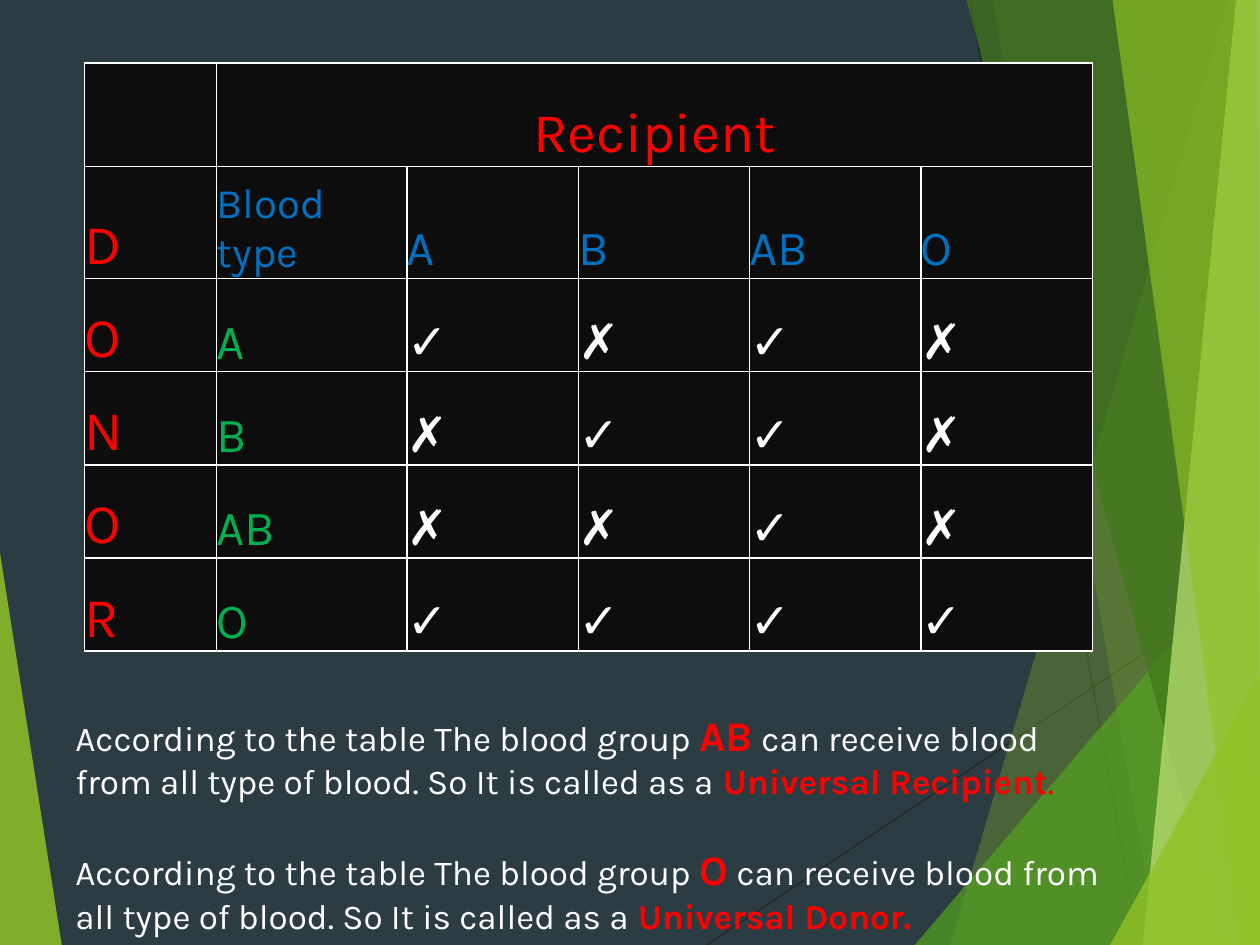
from lxml.etree import SubElement
from pptx import Presentation
from pptx.dml.color import RGBColor as RGB
from pptx.enum.shapes import MSO_CONNECTOR as Connector
from pptx.enum.text import MSO_ANCHOR as Anchor, PP_ALIGN as Align
from pptx.oxml import parse_xml
from pptx.oxml.ns import nsdecls, qn
from pptx.util import Inches, Pt

SLATE = RGB(0x2C, 0x3C, 0x43)
CHARCOAL = RGB(0x26, 0x26, 0x26)
BLACK = RGB(0x0D, 0x0D, 0x0D)
WHITE = RGB(0xFF, 0xFF, 0xFF)
RED = RGB(0xFF, 0x00, 0x00)
BLUE = RGB(0x00, 0x70, 0xC0)
GREEN = RGB(0x00, 0xB0, 0x50)
LIME = RGB(0x90, 0xC2, 0x26)
LEAF = RGB(0x54, 0xA0, 0x21)
FOREST = RGB(0x3F, 0x78, 0x19)
PALE_LIME = RGB(0xC0, 0xE4, 0x74)

COLUMNS, ROWS = 100, 75

# Corners in grid units, fill, opacity in percent
FACETS = [
    ([(0, 43.9), (4.9, 75), (0, 75)], LIME, 85),
    ([(97.5, 0), (75.4, 75), (100, 75), (100, 0)], LIME, 30),
    ([(78.8, 0), (91.9, 75), (100, 75), (100, 0)], LIME, 20),
    ([(72.6, 75), (100, 42.9), (100, 75)], LEAF, 72),
    ([(76.7, 0), (97, 75), (100, 75), (100, 0)], FOREST, 70),
    ([(98.1, 0), (90.7, 75), (100, 75), (100, 0)], PALE_LIME, 70),
    ([(88.3, 0), (98.6, 75), (100, 75), (99.8, 0)], LIME, 65),
    ([(88.1, 75), (100, 53.5), (100, 75)], LIME, 80),
]

BLOOD_TYPES = ["A", "B", "AB", "O"]
COMPATIBILITY = ["✓✗✓✗", "✗✓✓✗", "✗✗✓✗", "✓✓✓✓"]

OPENING = "According to the table The blood group "
MIDDLE = " can receive blood from all type of blood. So It is called as a "


class SlideBuilder:
    font = "Karla"

    def __init__(self, deck):
        self.slide = deck.slides.add_slide(deck.slide_layouts[6])
        self.column = deck.slide_width / COLUMNS
        self.row = deck.slide_height / ROWS

    def place(self, *lengths):
        """Turn alternating column and row counts into EMU."""
        units = (self.column, self.row)
        return [round(n * units[i % 2]) for i, n in enumerate(lengths)]

    def background(self, color):
        fill = self.slide.background.fill
        fill.solid()
        fill.fore_color.rgb = color

    def line(self, *ends):
        connector = self.slide.shapes.add_connector(
            Connector.STRAIGHT, *self.place(*ends))
        connector.line.color.rgb = CHARCOAL
        connector.line.width = Pt(0.75)
        SubElement(connector._element.spPr, qn("a:effectLst"))

    def facet(self, corners, color, opacity):
        start, *rest = [self.place(*corner) for corner in corners]
        outline = self.slide.shapes.build_freeform(*start)
        outline.add_line_segments(rest, close=True)
        facet = outline.convert_to_shape()
        facet.shadow.inherit = False
        facet.line.fill.background()
        facet.fill.solid()
        facet.fill.fore_color.rgb = color
        tint = facet._element.spPr.find(".//" + qn("a:srgbClr"))
        SubElement(tint, qn("a:alpha"), val=str(opacity * 1000))

    def run(self, paragraph, wording, size, color, bold=False):
        run = paragraph.add_run()
        run.text = wording
        run.font.name = self.font
        run.font.size = Pt(size)
        run.font.bold = bold
        run.font.color.rgb = color

    def table(self, left, top, widths, heights):
        frame = self.slide.shapes.add_table(
            len(heights), len(widths),
            *self.place(left, top, sum(widths), sum(heights)))
        table = frame.table
        table.first_row = table.horz_banding = False
        for column, width in zip(table.columns, widths):
            column.width = round(width * self.column)
        for row, height in zip(table.rows, heights):
            row.height = round(height * self.row)
        for cell in table.iter_cells():
            cell.fill.solid()
            cell.fill.fore_color.rgb = BLACK
            self.border(cell)
        return table

    def border(self, cell):
        for position, side in enumerate(("lnL", "lnR", "lnT", "lnB")):
            cell._tc.get_or_add_tcPr().insert(position, parse_xml(
                f'<a:{side} {nsdecls("a")} w="{Pt(1)}"><a:solidFill>'
                f'<a:srgbClr val="{WHITE}"/></a:solidFill></a:{side}>'))

    def cell(self, cell, wording, size, color, align=Align.LEFT):
        cell.vertical_anchor = Anchor.BOTTOM
        cell.margin_left = cell.margin_right = 0
        cell.margin_top = cell.margin_bottom = 0
        paragraph = cell.text_frame.paragraphs[0]
        paragraph.alignment = align
        self.run(paragraph, wording, size, color)

    def text(self, area, paragraphs, gap):
        frame = self.slide.shapes.add_textbox(*self.place(*area)).text_frame
        frame.word_wrap = True
        for index, runs in enumerate(paragraphs):
            paragraph = frame.add_paragraph() if index else frame.paragraphs[0]
            paragraph.space_before = Pt(gap if index else 0)
            for run in runs:
                self.run(paragraph, *run)


def blood_table(builder):
    table = builder.table(6.7, 5, [10.5, 15.1] + [13.6] * 4,
                          [8.2, 8.9] + [7.4] * 4)
    table.cell(0, 1).merge(table.cell(0, 5))
    builder.cell(table.cell(0, 1), "Recipient", 32, RED, Align.CENTER)
    for row, letter in enumerate("DONOR", start=1):
        builder.cell(table.cell(row, 0), letter, 32, RED)
    builder.cell(table.cell(1, 1), "Blood type", 24, BLUE)
    for index, (blood, marks) in enumerate(zip(BLOOD_TYPES, COMPATIBILITY), 2):
        builder.cell(table.cell(1, index), blood, 28, BLUE)
        builder.cell(table.cell(index, 1), blood, 28, GREEN)
        for column, mark in enumerate(marks, start=2):
            builder.cell(table.cell(index, column), mark, 28, WHITE)


def conclusion(group, *title):
    return [(OPENING, 20, WHITE), (group, 24, RED, True),
            (MIDDLE, 20, WHITE), *title]


def main():
    deck = Presentation()
    deck.slide_width, deck.slide_height = Inches(10), Inches(7.5)
    builder = SlideBuilder(deck)
    builder.background(SLATE)
    builder.line(56.1, 75, 100, 45.7)
    builder.line(77, 0, 90.4, 75)
    for facet in FACETS:
        builder.facet(*facet)
    blood_table(builder)
    builder.text((5, 55.8, 85, 19.2), [
        conclusion("AB", ("Universal Recipient", 20, RED, True),
                   (".", 20, RED)),
        conclusion("O", ("Universal Donor.", 20, RED, True)),
    ], gap=24)
    deck.save("out.pptx")


if __name__ == "__main__":
    main()
